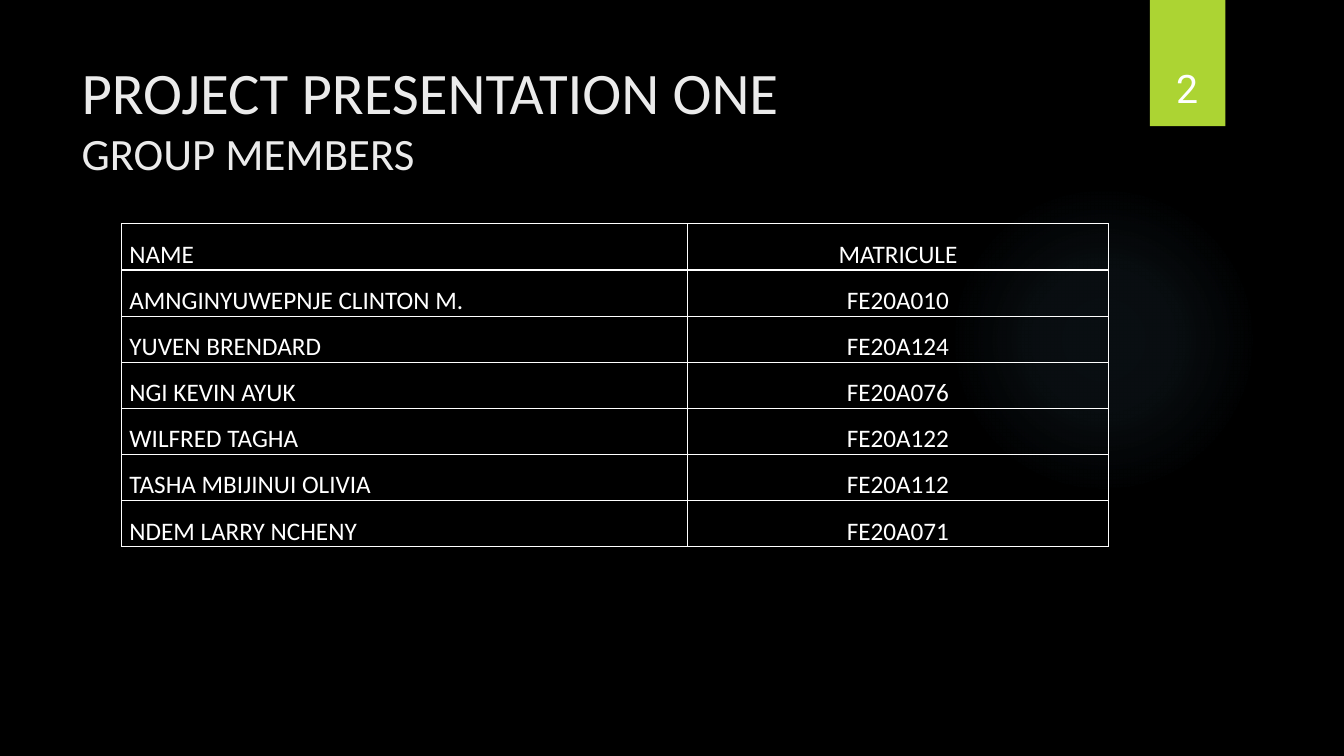
from typing import Any, NamedTuple

from lxml import etree
from pptx import Presentation
from pptx.dml.color import RGBColor
from pptx.enum.shapes import MSO_SHAPE
from pptx.enum.text import MSO_ANCHOR, MSO_AUTO_SIZE, PP_ALIGN
from pptx.oxml.ns import qn
from pptx.util import Cm, Pt

OVAL, RECT = MSO_SHAPE.OVAL, MSO_SHAPE.RECTANGLE
LEFT, MID = PP_ALIGN.LEFT, PP_ALIGN.CENTER
TOP, BASE = MSO_ANCHOR.TOP, MSO_ANCHOR.BOTTOM
FIXED = MSO_AUTO_SIZE.NONE

BLACK = RGBColor(0x00, 0x00, 0x00)
WHITE = RGBColor(0xFF, 0xFF, 0xFF)
PALE = RGBColor(0xEB, 0xEB, 0xEB)
LIME = RGBColor(0xAC, 0xD4, 0x33)
SKY = RGBColor(0x7A, 0xC4, 0xF0)

ROW = Cm(1.04)
EDGES = ("a:lnL", "a:lnR", "a:lnT", "a:lnB")


class Box(NamedTuple):
    left: float
    top: float
    width: float
    height: float


class Form(NamedTuple):
    kind: MSO_SHAPE
    box: Box
    color: RGBColor


class Member(NamedTuple):
    name: str
    code: str


class Column(NamedTuple):
    width: float
    align: PP_ALIGN


GLOW = Form(OVAL, Box(23.9, 4.65, 7.82, 7.82), SKY)
BADGE = Form(RECT, Box(28.98, 0, 1.9, 3.18), LIME)
HEAD = Box(1.8, 1.27, 26.14, 3.89)
PAGE = Box(28.75, 0.81, 2.34, 2.13)
GRID = Box(3.07, 5.64, 24.87, 7.28)

COLUMNS = (Column(14.25, LEFT), Column(10.62, MID))
MEMBERS = (
    Member("NAME", "MATRICULE"),
    Member("AMNGINYUWEPNJE CLINTON M.", "FE20A010"),
    Member("YUVEN BRENDARD", "FE20A124"),
    Member("NGI KEVIN AYUK", "FE20A076"),
    Member("WILFRED TAGHA", "FE20A122"),
    Member("TASHA MBIJINUI OLIVIA", "FE20A112"),
    Member("NDEM LARRY NCHENY", "FE20A071"),
)


def apply(item: Any, values: dict[str, Any]) -> None:
    for key, value in values.items():
        setattr(item, key, value)


def place(box: Box) -> tuple[Cm, ...]:
    return tuple(Cm(part) for part in box)


def write(par: Any, text: str, size: float, face: str, color: RGBColor) -> None:
    run = par.add_run()
    run.text = text
    apply(run.font, {"size": Pt(size), "name": face, "bold": False})
    run.font.color.rgb = color


def draw(slide: Any, form: Form) -> Any:
    shape = slide.shapes.add_shape(form.kind, *place(form.box))
    shape.shadow.inherit = False
    shape.fill.solid()
    shape.fill.fore_color.rgb = form.color
    shape.line.fill.background()
    return shape


def fade(shape: Any, color: RGBColor) -> None:
    """Turn the solid fill into a soft radial glow."""
    solid = shape.element.spPr.find(qn("a:solidFill"))
    grad = etree.Element(qn("a:gradFill"))
    stops = etree.SubElement(grad, qn("a:gsLst"))
    for pos, alpha in ((0, 7), (36, 6), (69, 0), (100, 0)):
        stop = etree.SubElement(stops, qn("a:gs"), pos=str(pos * 1000))
        tint = etree.SubElement(stop, qn("a:srgbClr"), val=str(color))
        etree.SubElement(tint, qn("a:alpha"), val=str(alpha * 1000))
    way = etree.SubElement(grad, qn("a:path"), path="circle")
    half = {side: "50000" for side in "ltrb"}
    etree.SubElement(way, qn("a:fillToRect"), half)
    solid.getparent().replace(solid, grad)


def rule(cell: Any, color: RGBColor) -> None:
    """Draw a thin line on all four sides of a cell."""
    props = cell._tc.get_or_add_tcPr()
    for spot, edge in enumerate(EDGES):
        line = etree.Element(qn(edge), w=str(Pt(1)))
        fill = etree.SubElement(line, qn("a:solidFill"))
        etree.SubElement(fill, qn("a:srgbClr"), val=str(color))
        props.insert(spot, line)


def fill_cell(cell: Any, text: str, align: PP_ALIGN) -> None:
    apply(cell, {"margin_left": Cm(0.19), "margin_right": Cm(0.19),
                 "margin_top": 0, "margin_bottom": 0, "vertical_anchor": TOP})
    cell.fill.background()
    rule(cell, WHITE)
    par = cell.text_frame.paragraphs[0]
    apply(par, {"alignment": align, "line_spacing": 1.5,
                "space_after": Pt(12.8)})
    write(par, text, 18, "Calibri", WHITE)


def add_title(slide: Any) -> None:
    title = slide.shapes.title
    apply(title, dict(zip(Box._fields, place(HEAD))))
    frame = title.text_frame
    apply(frame, {"vertical_anchor": TOP, "word_wrap": True,
                  "auto_size": FIXED})
    par = frame.paragraphs[0]
    par.alignment = LEFT
    write(par, "PROJECT PRESENTATION ONE", 42, "Calibri", PALE)
    par.add_line_break()
    write(par, "GROUP MEMBERS", 32, "Calibri", PALE)


def add_grid(slide: Any) -> None:
    frame = slide.shapes.add_table(len(MEMBERS), len(COLUMNS), *place(GRID))
    table = frame.table
    apply(table, {"first_row": False, "horz_banding": False})
    for col, spec_col in zip(table.columns, COLUMNS):
        col.width = Cm(spec_col.width)
    for row, member in zip(table.rows, MEMBERS):
        row.height = ROW
        for cell, text, col in zip(row.cells, member, COLUMNS):
            fill_cell(cell, text, col.align)


def add_page(slide: Any) -> None:
    frame = slide.shapes.add_textbox(*place(PAGE)).text_frame
    apply(frame, {"word_wrap": True, "vertical_anchor": BASE})
    par = frame.paragraphs[0]
    par.alignment = MID
    write(par, "2", 28, "Roboto", WHITE)


def main() -> None:
    deck = Presentation()
    apply(deck, {"slide_width": Cm(33.87), "slide_height": Cm(19.05)})
    slide = deck.slides.add_slide(deck.slide_layouts[5])
    slide.background.fill.solid()
    slide.background.fill.fore_color.rgb = BLACK

    # Backdrop
    fade(draw(slide, GLOW), GLOW.color)
    draw(slide, BADGE)

    # Content
    add_title(slide)
    add_grid(slide)
    add_page(slide)
    deck.save("out.pptx")


if __name__ == "__main__":
    main()
